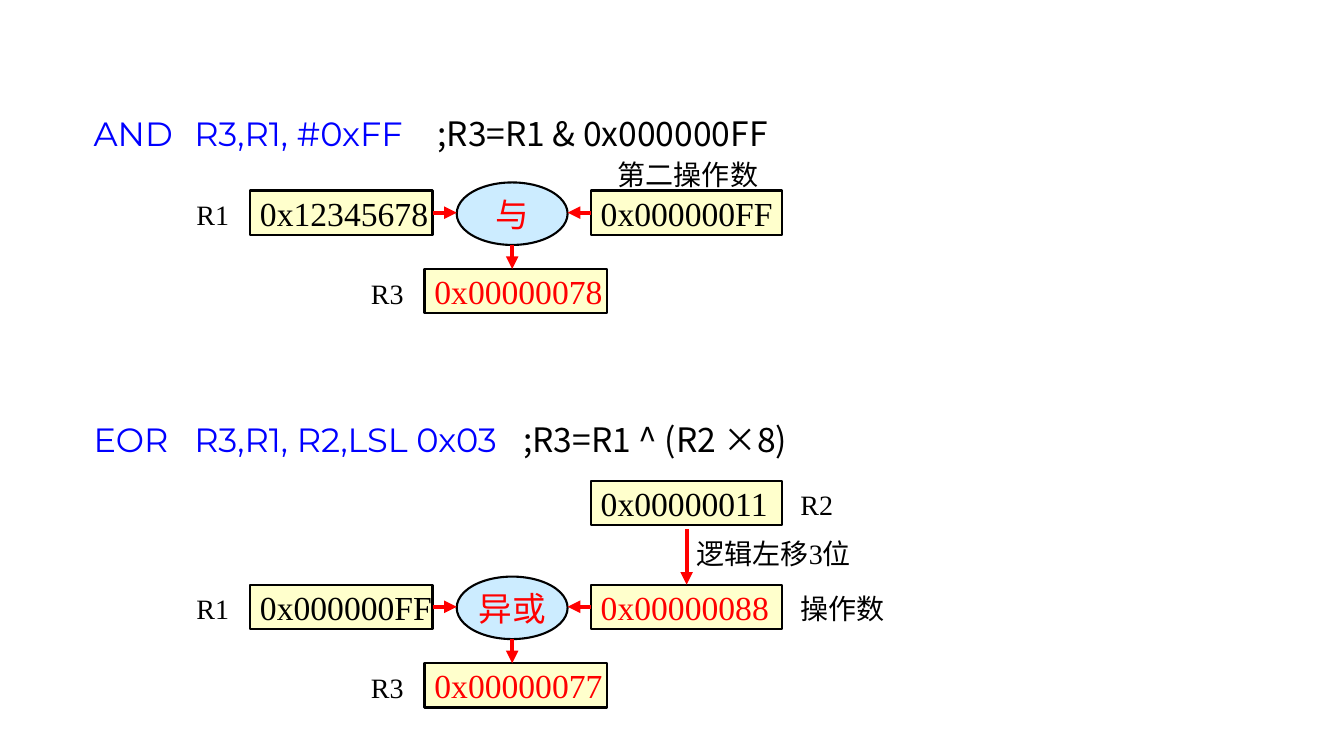
from dataclasses import dataclass

from pptx import Presentation
from pptx.dml.color import RGBColor
from pptx.enum.shapes import MSO_CONNECTOR, MSO_SHAPE
from pptx.enum.text import MSO_ANCHOR, MSO_AUTO_SIZE, PP_ALIGN
from pptx.oxml.ns import qn
from pptx.util import Pt
from lxml.etree import SubElement

EMU_PER_PX = 9144  # 100 px to the inch


def px(length):
    return int(length * EMU_PER_PX)


@dataclass(frozen=True)
class Theme:
    black: str = "000000"
    red: str = "FF0000"
    blue: str = "0000FF"
    register_fill: str = "FFFFCC"
    operator_fill: str = "CCECFF"
    serif: str = "Times New Roman"
    code: str = "Montserrat"
    east_asian: str = "Noto Sans CJK JP"
    value_size: int = 24
    label_size: int = 20
    outline: float = 1.5
    arrow: int = 3


class Diagram:
    def __init__(self, slide, theme):
        self.slide = slide
        self.theme = theme

    def style_run(self, run, size, color, font):
        run.font.size = Pt(size)
        run.font.color.rgb = RGBColor.from_string(color)
        run.font.name = font
        latin = run.font._element.find(qn("a:latin"))
        east_asian = latin.makeelement(qn("a:ea"), {"typeface": self.theme.east_asian})
        latin.addnext(east_asian)

    def fill_text(self, shape, text, size, color, align=PP_ALIGN.LEFT):
        """Write one unwrapped, vertically centred line into the shape."""
        frame = shape.text_frame
        frame.text = text
        frame.word_wrap = False
        frame.vertical_anchor = MSO_ANCHOR.MIDDLE
        paragraph = frame.paragraphs[0]
        paragraph.alignment = align
        self.style_run(paragraph.runs[0], size, color, self.theme.serif)

    def outlined(self, kind, left, top, width, height, fill):
        shape = self.slide.shapes.add_shape(kind, px(left), px(top), px(width), px(height))
        shape.shadow.inherit = False
        shape.fill.solid()
        shape.fill.fore_color.rgb = RGBColor.from_string(fill)
        shape.line.color.rgb = RGBColor.from_string(self.theme.black)
        shape.line.width = Pt(self.theme.outline)
        return shape

    def register(self, text, left, top, width, color):
        shape = self.outlined(MSO_SHAPE.RECTANGLE, left, top, width, 44, self.theme.register_fill)
        self.fill_text(shape, text, self.theme.value_size, color)
        return shape

    def operator(self, text, left, top, width, height):
        shape = self.outlined(MSO_SHAPE.OVAL, left, top, width, height, self.theme.operator_fill)
        self.fill_text(shape, text, self.theme.value_size, self.theme.red, PP_ALIGN.CENTER)

    def label(self, text, left, top, width):
        box = self.slide.shapes.add_textbox(px(left), px(top), px(width), px(47))
        box.text_frame.margin_right = 0
        self.fill_text(box, text, self.theme.label_size, self.theme.black)

    def arrow(self, start, end, source=None, target=None):
        """Draw an arrow; source and target are (rectangle, side) pairs to join."""
        connector = self.slide.shapes.add_connector(
            MSO_CONNECTOR.STRAIGHT, *map(px, start + end))
        if source:
            connector.begin_connect(*source)
        if target:
            connector.end_connect(*target)
        connector.line.color.rgb = RGBColor.from_string(self.theme.red)
        connector.line.width = Pt(self.theme.arrow)
        SubElement(connector.line._get_or_add_ln(), qn("a:tailEnd"), type="triangle")
        SubElement(connector._element.spPr, qn("a:effectLst"))

    def instruction(self, code, comment, top, comment_tab):
        box = self.slide.shapes.add_textbox(px(83), px(top), px(858), px(51))
        frame = box.text_frame
        frame.word_wrap = True
        frame.auto_size = MSO_AUTO_SIZE.SHAPE_TO_FIT_TEXT
        paragraph = frame.paragraphs[0]
        tabs = SubElement(paragraph._p.get_or_add_pPr(), qn("a:tabLst"))
        for position in (100, comment_tab):
            SubElement(tabs, qn("a:tab"), pos=str(px(position)), algn="l")
        theme = self.theme
        for text, color, font in ((code + "\t", theme.blue, theme.code),
                                  (comment, theme.black, theme.east_asian)):
            run = paragraph.add_run()
            run.text = text
            self.style_run(run, theme.value_size, color, font)

    def operation(self, name, center, first, second, second_color, result):
        """Draw R1 and the second operand feeding an operator whose result is R3."""
        theme = self.theme
        row_top, result_top = center - 22, center + 56
        r1 = self.register(first, 248, row_top, 181, theme.black)
        operand = self.register(second, 586, row_top, 190, second_color)
        self.register(result, 421, result_top, 181, theme.red)
        self.operator(name, 453, center - 30, 110, 62)
        self.arrow((429, center), (453, center), source=(r1, 3))
        self.arrow((586, center), (563, center), source=(operand, 1))
        self.arrow((508, center + 32), (508, result_top))
        self.label("R1", 185, row_top, 71)
        self.label("R3", 358, result_top, 71)
        return operand


def main():
    presentation = Presentation()
    presentation.slide_width = px(1333)
    presentation.slide_height = px(750)
    slide = presentation.slides.add_slide(presentation.slide_layouts[6])
    theme = Theme()
    diagram = Diagram(slide, theme)

    diagram.instruction("AND\tR3,R1, #0xFF", ";R3=R1 & 0x000000FF", 107, 341)
    diagram.operation("与", 211, "0x12345678", "0x000000FF", theme.black, "0x00000078")
    diagram.label("第二操作数", 603, 149, 160)

    diagram.instruction("EOR\tR3,R1, R2,LSL 0x03", ";R3=R1 ^ (R2 ×8)", 411, 426)
    shifted = diagram.operation(
        "异或", 602, "0x000000FF", "0x00000088", theme.red, "0x00000077")
    diagram.register("0x00000011", 586, 477, 190, theme.black)
    diagram.arrow((681, 525), (681, 580), target=(shifted, 0))
    diagram.label("R2", 784, 477, 79)
    diagram.label("逻辑左移3位", 681, 525, 190)
    diagram.label("操作数", 784, 580, 108)

    presentation.save("out.pptx")


if __name__ == "__main__":
    main()
